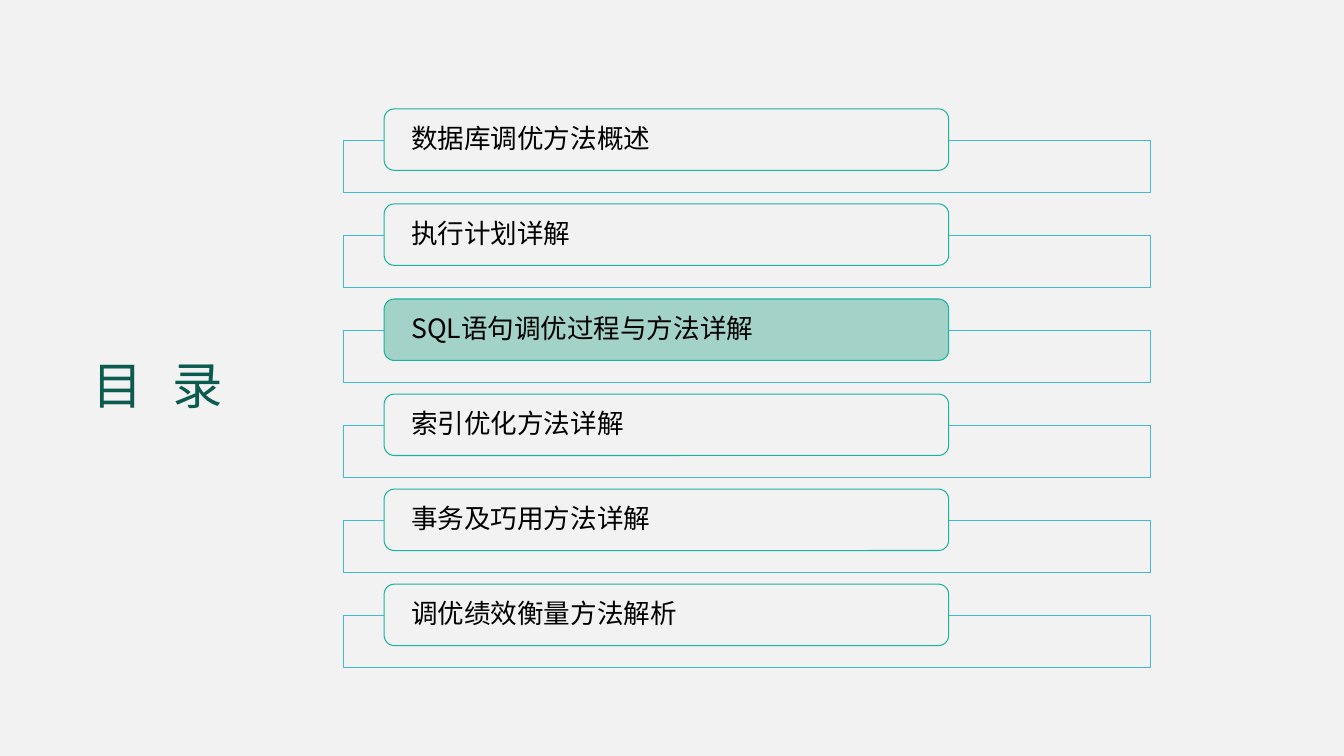
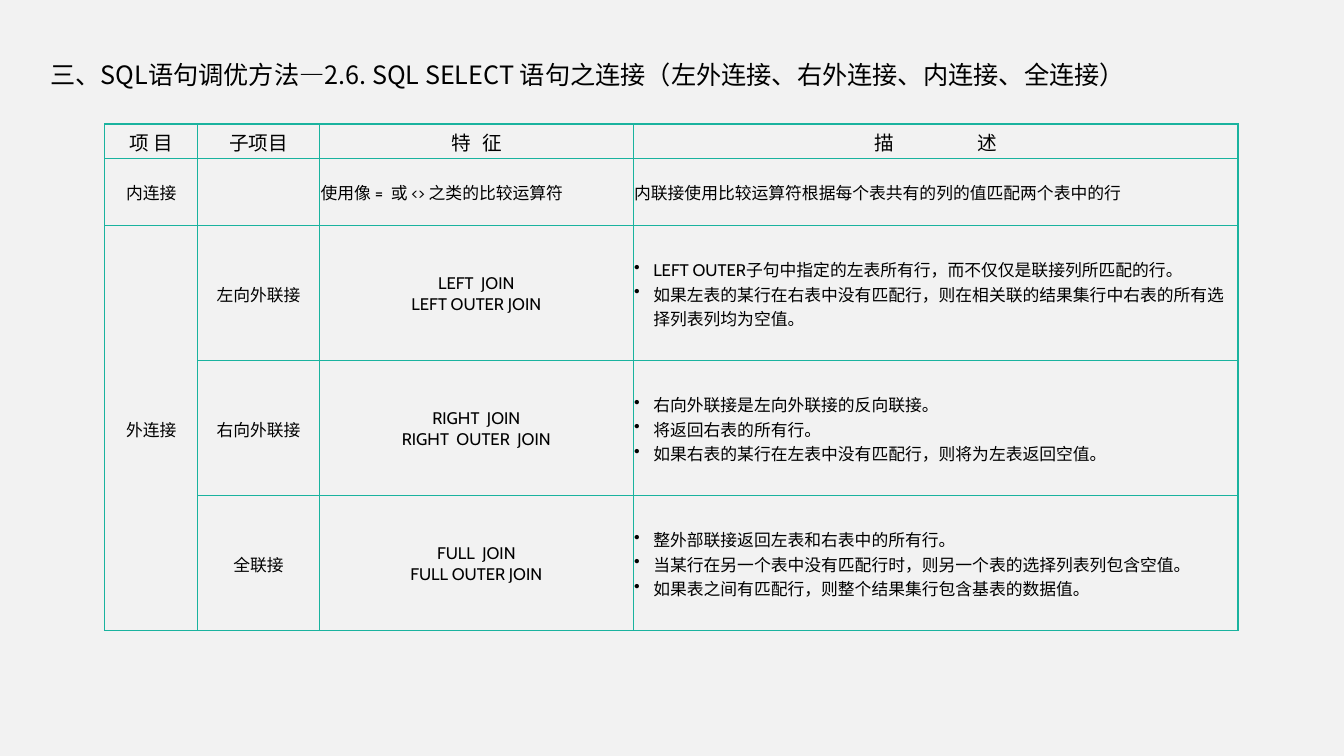
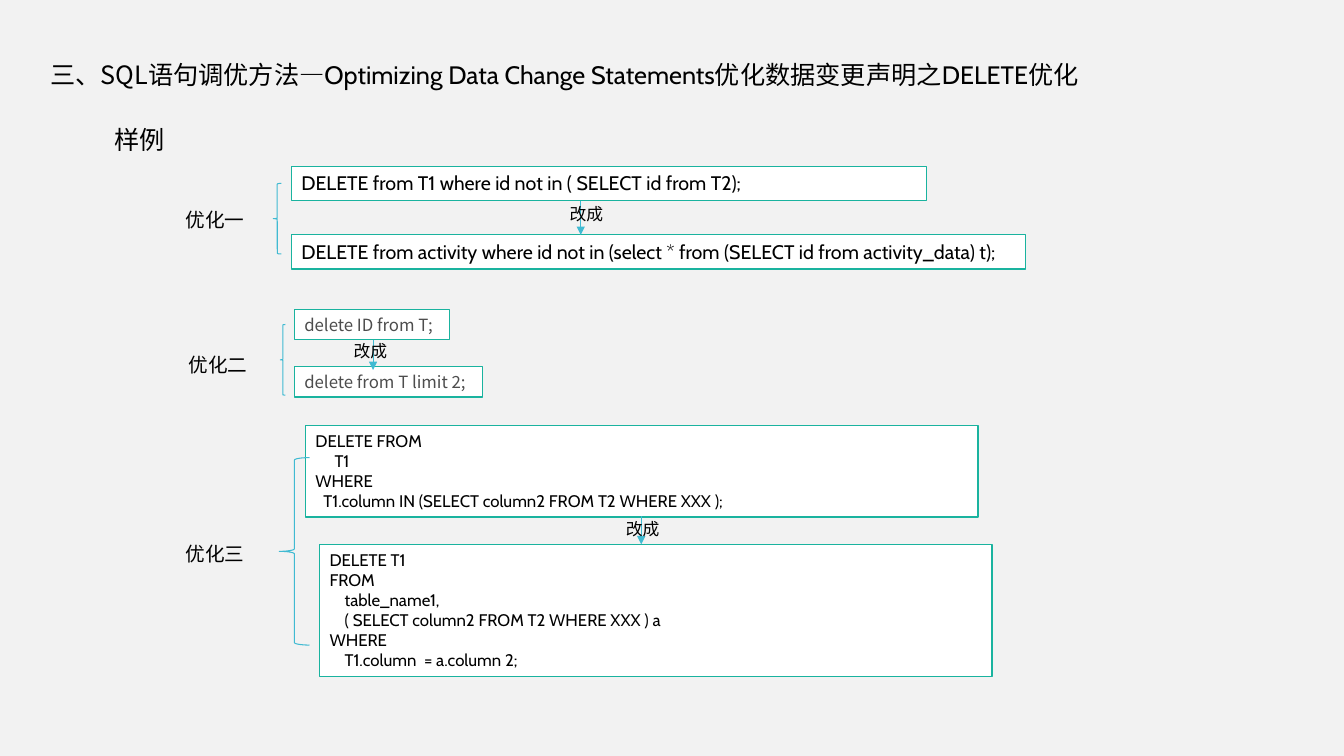
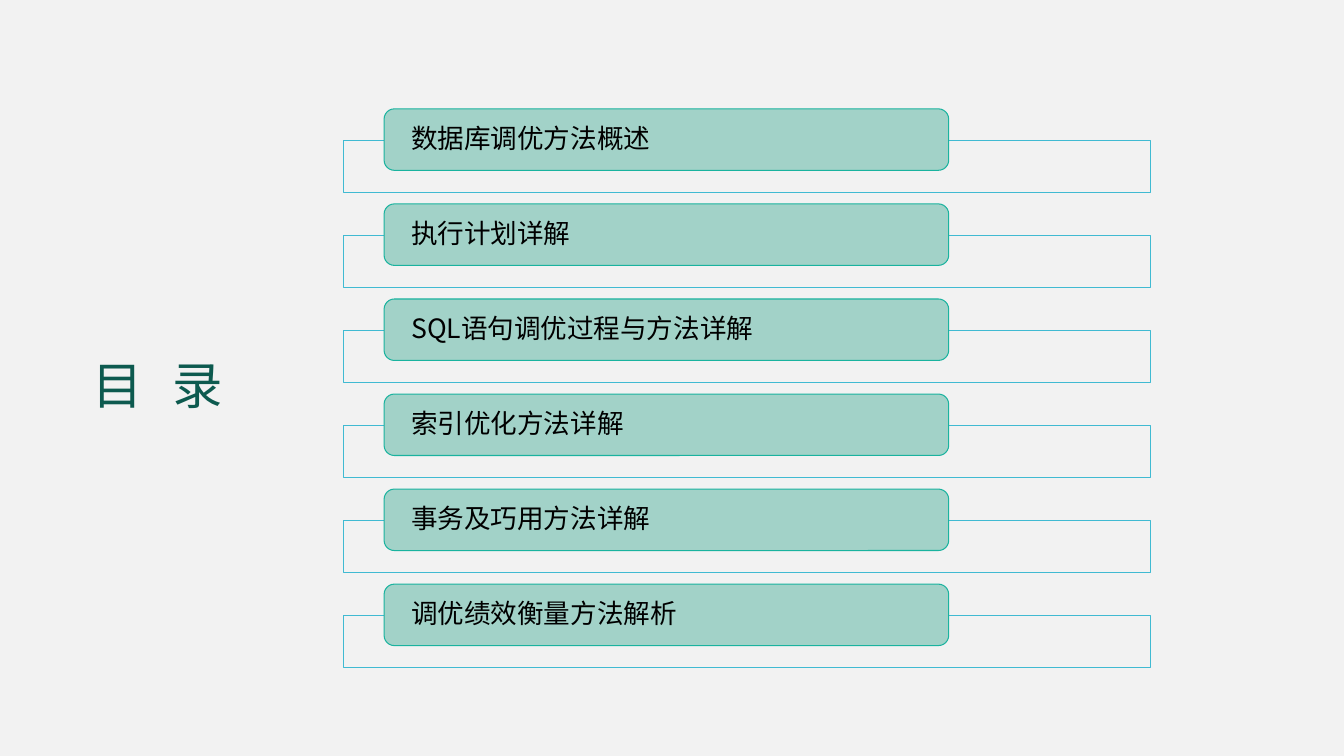
from lxml import etree
from pptx import Presentation
from pptx.dml.color import RGBColor
from pptx.enum.shapes import MSO_CONNECTOR, MSO_SHAPE
from pptx.enum.text import MSO_ANCHOR, PP_ALIGN
from pptx.oxml import parse_xml
from pptx.oxml.ns import nsdecls, qn
from pptx.util import Inches, Pt

RECT, ROUND, BRACE = MSO_SHAPE.RECTANGLE, MSO_SHAPE.ROUNDED_RECTANGLE, MSO_SHAPE.LEFT_BRACE
LEFT, CENTER = PP_ALIGN.LEFT, PP_ALIGN.CENTER
TOP, MIDDLE = MSO_ANCHOR.TOP, MSO_ANCHOR.MIDDLE
STRAIGHT = MSO_CONNECTOR.STRAIGHT

HAN, LATIN = "Noto Sans CJK SC", "Cabin"
PAPER, WHITE, BLACK, GRAY = "F2F2F2", "FFFFFF", "000000", "4D4D4D"
TEAL, BLUE, MINT, DEEP = "1AB39F", "40BAD2", "A2D2C8", "0D5A4F"

CHAPTERS = ["数据库调优方法概述", "执行计划详解", "SQL语句调优过程与方法详解",
            "索引优化方法详解", "事务及巧用方法详解", "调优绩效衡量方法解析"]

JOIN_TITLE = [("三、SQL语句调优方法—2.6. SQL SELECT 语句之连接"
               "（左外连接、右外连接、内连接、全连接）", HAN)]
DELETE_TITLE = [("三、SQL语句调优方法—", HAN),
                ("Optimizing Data Change Statements优化数据变更声明之DELETE优化", LATIN)]

JOIN_COLS = [0.92, 1.21, 3.11, 6]
JOIN_ROWS = [0.34, 0.67, 1.34, 1.34, 1.34]
HEAD_SPACING = {"特 征": 2.5, "描 述": 28}   # points between the two characters
JOINS = [
    ["项 目", "子项目", "特 征", "描 述"],
    ["内连接", "", "使用像 =  或 <> 之类的比较运算符",
     "内联接使用比较运算符根据每个表共有的列的值匹配两个表中的行"],
    ["外连接", "左向外联接", ["LEFT  JOIN", "LEFT OUTER JOIN"],
     ["LEFT OUTER子句中指定的左表所有行，而不仅仅是联接列所匹配的行。",
      "如果左表的某行在右表中没有匹配行，则在相关联的结果集行中右表的所有选择列表列均为空值。"]],
    ["", "右向外联接", ["RIGHT  JOIN", "RIGHT  OUTER  JOIN"],
     ["右向外联接是左向外联接的反向联接。", "将返回右表的所有行。",
      "如果右表的某行在左表中没有匹配行，则将为左表返回空值。"]],
    ["", "全联接", ["FULL  JOIN", "FULL OUTER JOIN"],
     ["整外部联接返回左表和右表中的所有行。",
      "当某行在另一个表中没有匹配行时，则另一个表的选择列表列包含空值。",
      "如果表之间有匹配行，则整个结果集行包含基表的数据值。"]],
]

# Each statement is a box and its lines; a line is a text and its indent in inches.
EXAMPLES = [
    dict(name="优化一", name_at=(1.74, 2.01), brace=(2.71, 1.82, 0.08, 0.7),
         arrow=(5.76, 1.99, 2.33), word_at=(5.55, 1.97), style=(14, LATIN, BLACK),
         statements=[
             ((2.89, 1.65, 6.3, 0.34),
              [("DELETE from T1 where id not in ( SELECT id from T2);", 0)]),
             ((2.89, 2.33, 7.28, 0.34),
              [("DELETE from activity where id not in "
                "(select * from (SELECT id from activity_data) t);", 0)])]),
    dict(name="优化二", name_at=(1.77, 3.45), brace=(2.78, 3.22, 0.05, 0.7),
         arrow=(3.7, 3.37, 3.67), word_at=(3.41, 3.33), style=(12, HAN, GRAY),
         statements=[
             ((2.92, 3.07, 1.54, 0.3), [("delete ID from T;", 0)]),
             ((2.92, 3.64, 1.87, 0.3), [("delete from T limit 2;", 0)])]),
    dict(name="优化三", name_at=(1.74, 5.33), brace=(2.77, 4.54, 0.3, 1.86),
         arrow=(6.36, 5.12, 5.4), word_at=(6.11, 5.1), style=(12, LATIN, BLACK),
         statements=[
             ((3.03, 4.22, 6.67, 0.91),
              [("DELETE FROM", 0), ("T1", 0.19), ("WHERE", 0),
               ("T1.column IN (SELECT column2 FROM T2 WHERE XXX );", 0.08)]),
             ((3.17, 5.4, 6.67, 1.31),
              [("DELETE T1", 0), ("FROM", 0), ("table_name1,", 0.15),
               ("( SELECT column2 FROM T2 WHERE XXX ) a", 0.15),
               ("WHERE", 0), ("T1.column  = a.column 2;", 0.15)])]),
]


def rgb(color):
    return RGBColor.from_string(color)


def inches(values):
    return [Inches(v) for v in values]


def style_run(r, size, font, color):
    r.font.size, r.font.name = Pt(size), font
    r.font.color.rgb = rgb(color)
    etree.SubElement(r._r.get_or_add_rPr(), qn("a:ea"), typeface=HAN)


def write(tf, lines, size, font=LATIN, color=BLACK, align=LEFT):
    """Fill a text frame, one paragraph a line."""
    tf.text = "\n".join(lines)
    for p in tf.paragraphs:
        p.alignment = align
        for r in p.runs:
            style_run(r, size, font, color)


def spread(p, points):
    """Widen the gap between the first and the last character."""
    r = p.runs[0]
    last = p.add_run()
    last.text, r.text = r.text[-1], r.text[:-1]
    style_run(last, r.font.size.pt, r.font.name, str(r.font.color.rgb))
    r._r.rPr.set("spc", str(int(points * 100)))


def indent(p, left, hanging=0):
    pPr = p._p.get_or_add_pPr()
    pPr.set("marL", str(Inches(left)))
    pPr.set("indent", str(-Inches(hanging)))
    return pPr


def add_text(s, at, lines, size, font=LATIN, color=BLACK, align=LEFT):
    tf = s.shapes.add_textbox(*inches(at)).text_frame
    tf.word_wrap = True
    write(tf, lines, size, font, color, align)
    return tf


def add_box(s, kind, at, line, width, fill=None):
    sp = s.shapes.add_shape(kind, *inches(at))
    sp.shadow.inherit = False
    sp.line.color.rgb, sp.line.width = rgb(line), Pt(width)
    if fill:
        sp.fill.solid()
        sp.fill.fore_color.rgb = rgb(fill)
    else:
        sp.fill.background()
    return sp


def add_arrow(s, x, top, bottom):
    line = s.shapes.add_connector(STRAIGHT, *inches((x, top, x, bottom)))
    line.line.color.rgb, line.line.width = rgb(BLUE), Pt(0.75)
    etree.SubElement(line.line._get_or_add_ln(), qn("a:tailEnd"), type="triangle")
    etree.SubElement(line._element.spPr, qn("a:effectLst"))


def add_slide(prs):
    return prs.slides.add_slide(prs.slide_layouts[6])


def add_title(s, parts):
    tf = add_text(s, (0.4, 0.54, 12.8, 0.4), [""], 18)
    for text, font in parts:
        r = tf.paragraphs[0].add_run()
        r.text = text
        style_run(r, 18, font, BLACK)


def contents_slide(prs, marked):
    """Chapter list; the chapters whose numbers are in marked are filled."""
    s = add_slide(prs)
    tf = add_text(s, (0, 1.34, 3.12, 5.03), ["目 录"], 36, HAN, DEEP, CENTER)
    tf.vertical_anchor = MIDDLE
    p = tf.paragraphs[0]
    p.line_spacing = 0.9
    spread(p, 6.5)
    for r in p.runs:
        r._r.rPr.find(qn("a:solidFill")).addnext(parse_xml(
            f'<a:effectLst {nsdecls("a")}><a:outerShdw blurRad="38100" dist="38100" '
            'dir="2700000"><a:srgbClr val="000000"><a:alpha val="43000"/></a:srgbClr>'
            '</a:outerShdw></a:effectLst>'))
    for i, chapter in enumerate(CHAPTERS):
        top = 1.08 + i * 0.943
        add_box(s, RECT, (3.41, top + 0.31, 8, 0.52), BLUE, 0.85)
        pill = add_box(s, ROUND, (3.81, top, 5.6, 0.61), TEAL, 0.75,
                       MINT if i in marked else PAPER)
        tf = pill.text_frame
        tf.margin_left = tf.margin_right = Inches(0.24)
        tf.margin_top = tf.margin_bottom = 0
        write(tf, [chapter], 19, HAN)
        tf.paragraphs[0].line_spacing = 0.9


def outline_cell(cell):
    tcPr = cell._tc.get_or_add_tcPr()
    for i, side in enumerate(("lnL", "lnR", "lnT", "lnB")):
        tcPr.insert(i, parse_xml(
            f'<a:{side} {nsdecls("a")} w="12700"><a:solidFill>'
            f'<a:srgbClr val="{TEAL}"/></a:solidFill></a:{side}>'))


def joins_slide(prs):
    s = add_slide(prs)
    add_title(s, JOIN_TITLE)
    table = s.shapes.add_table(
        len(JOIN_ROWS), len(JOIN_COLS),
        *inches((1.04, 1.23, sum(JOIN_COLS), sum(JOIN_ROWS)))).table
    table.first_row = table.horz_banding = False
    for col, width in zip(table.columns, JOIN_COLS):
        col.width = Inches(width)
    for row, height in zip(table.rows, JOIN_ROWS):
        row.height = Inches(height)
    for i, texts in enumerate(JOINS):
        for j, text in enumerate(texts):
            cell = table.cell(i, j)
            cell.fill.background()
            outline_cell(cell)
            cell.vertical_anchor = MIDDLE
            cell.margin_left = cell.margin_right = cell.margin_top = Inches(0.01)
            cell.margin_bottom = 0
            lines = text if isinstance(text, list) else [text]
            align = LEFT if j == 3 and i or (i, j) == (1, 2) else CENTER
            write(cell.text_frame, lines, 12 if i else 14, align=align)
            if text in HEAD_SPACING if i == 0 else False:
                spread(cell.text_frame.paragraphs[0], HEAD_SPACING[text])
            if j == 3 and i > 1:
                for p in cell.text_frame.paragraphs:
                    etree.SubElement(indent(p, 0.19, 0.19), qn("a:buChar"), char="•")
    table.cell(2, 0).merge(table.cell(4, 0))


def deletes_slide(prs):
    s = add_slide(prs)
    add_title(s, DELETE_TITLE)
    add_text(s, (1.04, 1.18, 1.83, 0.4), ["样例"], 18)
    for ex in EXAMPLES:
        for at, lines in ex["statements"]:
            tf = add_box(s, RECT, at, TEAL, 0.85, WHITE).text_frame
            tf.vertical_anchor = TOP
            tf.word_wrap = len(lines) > 1
            write(tf, [text for text, _ in lines], *ex["style"])
            for p, (_, left) in zip(tf.paragraphs, lines):
                indent(p, left)
        add_box(s, BRACE, ex["brace"], BLUE, 0.75)
        add_arrow(s, *ex["arrow"])
        add_text(s, (*ex["word_at"], 0.58, 0.3), ["改成"], 12)
        add_text(s, (*ex["name_at"], 1.11, 0.34), [ex["name"]], 14)


def main():
    prs = Presentation()
    prs.slide_width, prs.slide_height = inches((13.33, 7.5))
    paper = prs.slide_master.background.fill
    paper.solid()
    paper.fore_color.rgb = rgb(PAPER)
    contents_slide(prs, {2})
    joins_slide(prs)
    deletes_slide(prs)
    contents_slide(prs, set(range(len(CHAPTERS))))
    prs.save("out.pptx")


if __name__ == "__main__":
    main()
